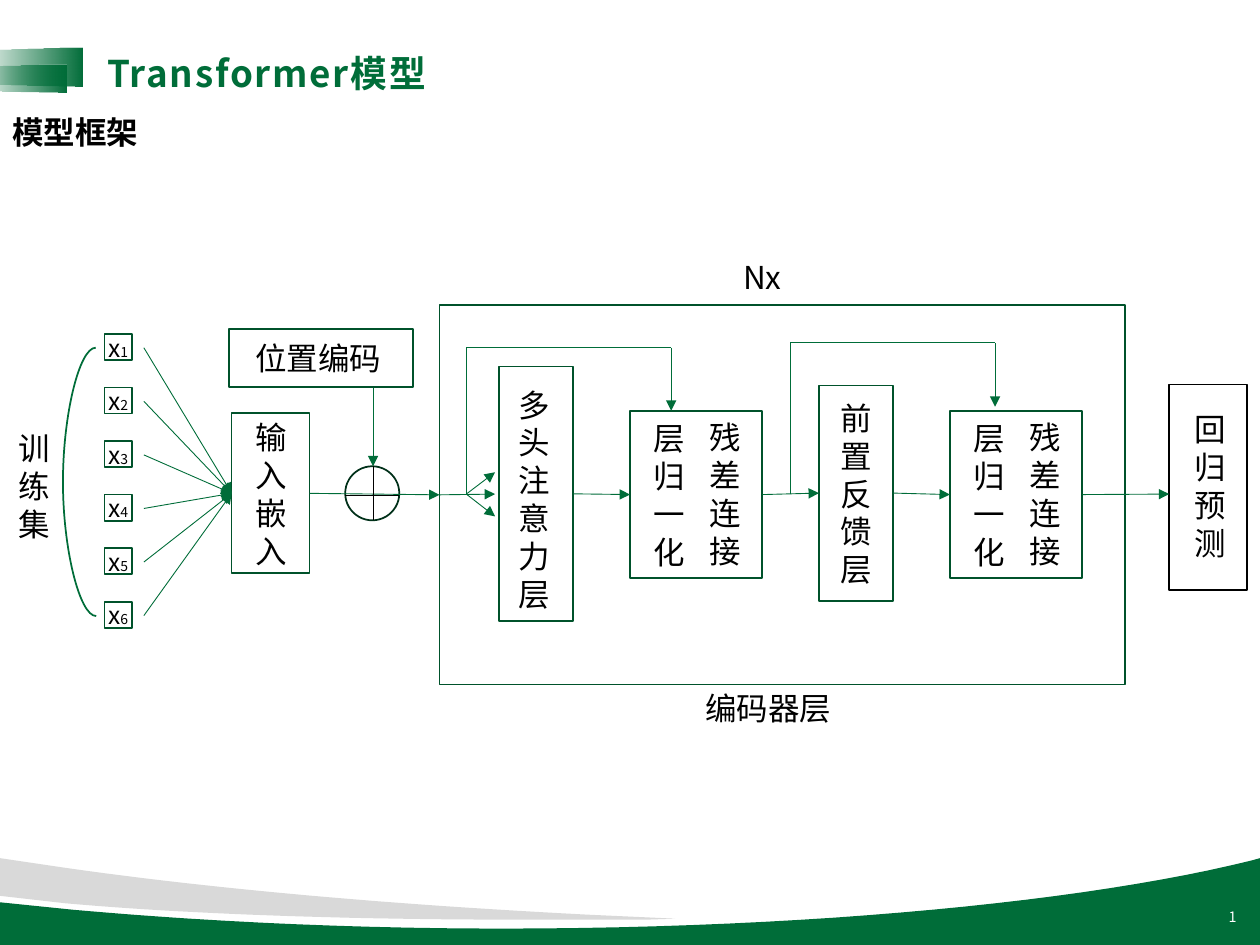
from dataclasses import dataclass

import pptx
import pptx.dml.color
import pptx.enum.shapes
import pptx.enum.text
import pptx.util
from lxml import etree
from pptx.oxml.ns import qn

Cm, Pt = pptx.util.Cm, pptx.util.Pt
RGB = pptx.dml.color.RGBColor.from_string
SHAPE = pptx.enum.shapes.MSO_SHAPE
CONNECTOR = pptx.enum.shapes.MSO_CONNECTOR
ALIGN = pptx.enum.text.PP_ALIGN
ANCHOR = pptx.enum.text.MSO_ANCHOR


@dataclass(frozen=True)
class Theme:
    font: str = "Noto Sans CJK SC"
    green: str = "006D39"
    border: str = "00522B"
    ring: str = "003019"
    grey: str = "D9D9D9"
    black: str = "000000"
    white: str = "FFFFFF"
    title: float = 21
    body: float = 18
    token: float = 14
    index: float = 8
    page: float = 8.2


T = Theme()
TOP, LEFT, BOTTOM, RIGHT = range(4)

prs = pptx.Presentation()
prs.slide_width, prs.slide_height = Cm(25.4), Cm(19.05)
s = prs.slides.add_slide(prs.slide_layouts[6])


def text(words, x, y, w, h, size=T.body, color=T.black, bold=False,
         align=ALIGN.LEFT, anchor=ANCHOR.TOP, spacing=None, index=None):
    """Add a text box; index is a smaller run after the words."""
    tf = s.shapes.add_textbox(Cm(x), Cm(y), Cm(w), Cm(h)).text_frame
    tf.word_wrap = True
    tf.vertical_anchor = anchor
    p = tf.paragraphs[0]
    p.alignment = align
    runs = [(words, size)] + ([(index, T.index)] if index else [])
    for part, part_size in runs:
        r = p.add_run()
        r.text = part
        r.font.size = Pt(part_size)
        r.font.bold = bold
        r.font.color.rgb = RGB(color)
        r.font.name = T.font
        rPr = r._r.get_or_add_rPr()
        etree.SubElement(rPr, qn("a:ea"), typeface=T.font)
        if spacing:
            rPr.set("spc", str(spacing * 100))


def line(start, end, arrow=True, color=T.green, width=0.5,
         kind=CONNECTOR.STRAIGHT):
    """Join two ends, each an (x, y) point or a (shape, side) pair."""
    points = [e if isinstance(e[0], (int, float)) else (0, 0)
              for e in (start, end)]
    c = s.shapes.add_connector(kind, *[Cm(v) for pt in points for v in pt])
    if points[0] != start:
        c.begin_connect(*start)
    if points[1] != end:
        c.end_connect(*end)
    c.line.color.rgb = RGB(color)
    c.line.width = Pt(width)
    if arrow:
        etree.SubElement(c.line._get_or_add_ln(), qn("a:tailEnd"),
                         type="triangle")
    etree.SubElement(c._element.spPr, qn("a:effectLst"))
    return c


# Footer waves: two numbers are a point, six are a cubic curve
waves = [
    (T.green, [(25.4, 17.3), (25.4, 19.05), (0, 19.05), (0, 18.19),
               (1.47, 18.34), (4.04, 18.57, 7.01, 18.72, 10.13, 18.72),
               (16.43, 18.72, 21.97, 18.16, 25.22, 17.35)]),
    (T.grey, [(0, 17.3), (1.35, 17.5),
              (4.37, 17.93, 7.92, 18.24, 11.86, 18.44), (13.61, 18.52),
              (13.03, 18.54), (10.44, 18.54),
              (6.88, 18.54, 3.66, 18.42, 1.32, 18.21), (0, 18.06)]),
]
STEPS = 24
for color, segments in waves:
    outline = []
    for seg in segments:
        if len(seg) == 2:
            outline.append(seg)
            continue
        controls = [outline[-1], seg[:2], seg[2:4], seg[4:]]
        for i in range(1, STEPS + 1):
            t = i / STEPS
            weights = ((1 - t)**3, 3*t*(1 - t)**2, 3*t*t*(1 - t), t**3)
            outline.append(tuple(sum(k * c[axis] for k, c in
                                     zip(weights, controls))
                                 for axis in (0, 1)))
    points = [(Cm(x), Cm(y)) for x, y in outline]
    builder = s.shapes.build_freeform(*points[0])
    builder.add_line_segments(points[1:], close=True)
    sp = builder.convert_to_shape()
    sp.shadow.inherit = False
    sp.fill.solid()
    sp.fill.fore_color.rgb = RGB(color)
    sp.line.fill.background()

# Title ornament, fading out to the left
for x, y, w, h in [(0.15, 0.23, 0.79, 2.24), (0.13, 0.66, 0.56, 1.85)]:
    sp = s.shapes.add_shape(SHAPE.TRAPEZOID, Cm(x), Cm(y), Cm(w), Cm(h))
    sp.adjustments[0] = 0.07
    sp.rotation = 270
    sp.shadow.inherit = False
    sp.line.fill.background()
    sp.fill.gradient()
    sp.fill.gradient_angle = 270
    for stop in sp.fill.gradient_stops:
        stop.color.rgb = RGB(T.green)
    clear = next(sp._element.iter(qn("a:srgbClr")))
    etree.SubElement(clear, qn("a:alpha"), val="0")

text("Transformer模型", 1.91, 0.89, 13.82, 1.14, size=T.title,
     color=T.green, bold=True, spacing=1)
text("1", 19.46, 17.98, 5.72, 1.02, size=T.page, color=T.white,
     align=ALIGN.RIGHT, anchor=ANCHOR.MIDDLE)
text("模型框架", 0, 2.16, 19.58, 1.02, bold=True)

# Outlined boxes
PITCH = 1.08
NORM_STEP = 6.45
AXIS = 9.96
outlines = {
    "encoder": (8.86, 6.15, 13.82, 7.65),
    "attention": (10.06, 7.39, 1.5, 5.13),
    "norm1": (12.7, 8.28, 2.67, 3.38),
    "feed": (16.51, 7.77, 1.5, 4.34),
    "norm2": (12.7 + NORM_STEP, 8.28, 2.67, 3.38),
    "regression": (23.57, 7.75, 1.57, 4.14),
    "embedding": (4.67, 8.33, 1.57, 3.23),
    "position": (4.62, 6.63, 3.71, 1.17),
    "sum": (6.96, 9.4, 1.09, 1.09),
}
for i in range(6):
    outlines[f"token{i + 1}"] = (2.11, 6.73 + PITCH * i, 0.56, 0.53)
border_colors = {"regression": T.black, "sum": T.ring}
box = {}
for name, frame in outlines.items():
    kind = SHAPE.OVAL if name == "sum" else SHAPE.RECTANGLE
    sp = s.shapes.add_shape(kind, *[Cm(v) for v in frame])
    sp.shadow.inherit = False
    sp.fill.background()
    sp.line.color.rgb = RGB(border_colors.get(name, T.border))
    sp.line.width = Pt(1)
    box[name] = sp

# Training set
for i in range(6):
    text("x", 1.93, 6.58 + PITCH * i, 0.97, 0.86, size=T.token,
         index=str(i + 1))
    line((2.9, 7.01 + PITCH * i), (box["embedding"], LEFT))
bracket = line((1.93, 7.01), (1.94, 12.42), arrow=False, width=1,
               kind=CONNECTOR.CURVE)
guides = bracket._element.spPr.find(qn("a:prstGeom")).get_or_add_avLst()
etree.SubElement(guides, qn("a:gd"), name="adj1", fmla="val -6600000")

# Labels; a narrow frame stacks the characters
for words, *frame in [
    ("训练集", 0.13, 8.53, 1.24, 2.54),
    ("输入嵌入", 4.9, 8.31, 1.09, 3.33),
    ("位置编码", 4.9, 6.71, 3.68, 1.02),
    ("多头注意力层", 10.21, 7.65, 1.09, 4.88),
    ("前置反馈层", 16.69, 7.92, 1.09, 4.11),
    ("回归预测", 23.83, 8.15, 1.09, 3.33),
    ("Nx", 14.73, 5.08, 3.5, 1.63),
    ("编码器层", 13.97, 13.77, 3.5, 1.63),
]:
    text(words, *frame)
for shift in (0, NORM_STEP):
    text("层归一化", 12.93 + shift, 8.33, 1.09, 3.33)
    text("残差连接", 14.05 + shift, 8.31, 1.09, 3.33)

# Main flow
for a, b in [("attention", "norm1"), ("norm1", "feed"), ("feed", "norm2")]:
    line((box[a], RIGHT), (box[b], LEFT))
line((box["embedding"], RIGHT), (box["encoder"], LEFT))
line((box["norm2"], RIGHT), (23.57, AXIS))
line((box["encoder"], LEFT), (9.98, AXIS))
for y in (9.52, 10.41):
    line((9.4, AXIS), (9.98, y))
line((7.52, 7.82), (7.52, 9.4))
line((6.96, 9.98), (8.05, 9.98), arrow=False, color=T.black)
line((7.52, 9.4), (7.52, 10.49), arrow=False, color=T.black)

# Skip connections
for x1, x2, y, tip in [(9.4, 13.53, 7.01, 8.28), (15.93, 20.06, 6.91, 8.2)]:
    line((x1, AXIS), (x1, y), arrow=False)
    line((x1, y), (x2, y), arrow=False)
    line((x2, y), (x2, tip))

prs.save("out.pptx")
